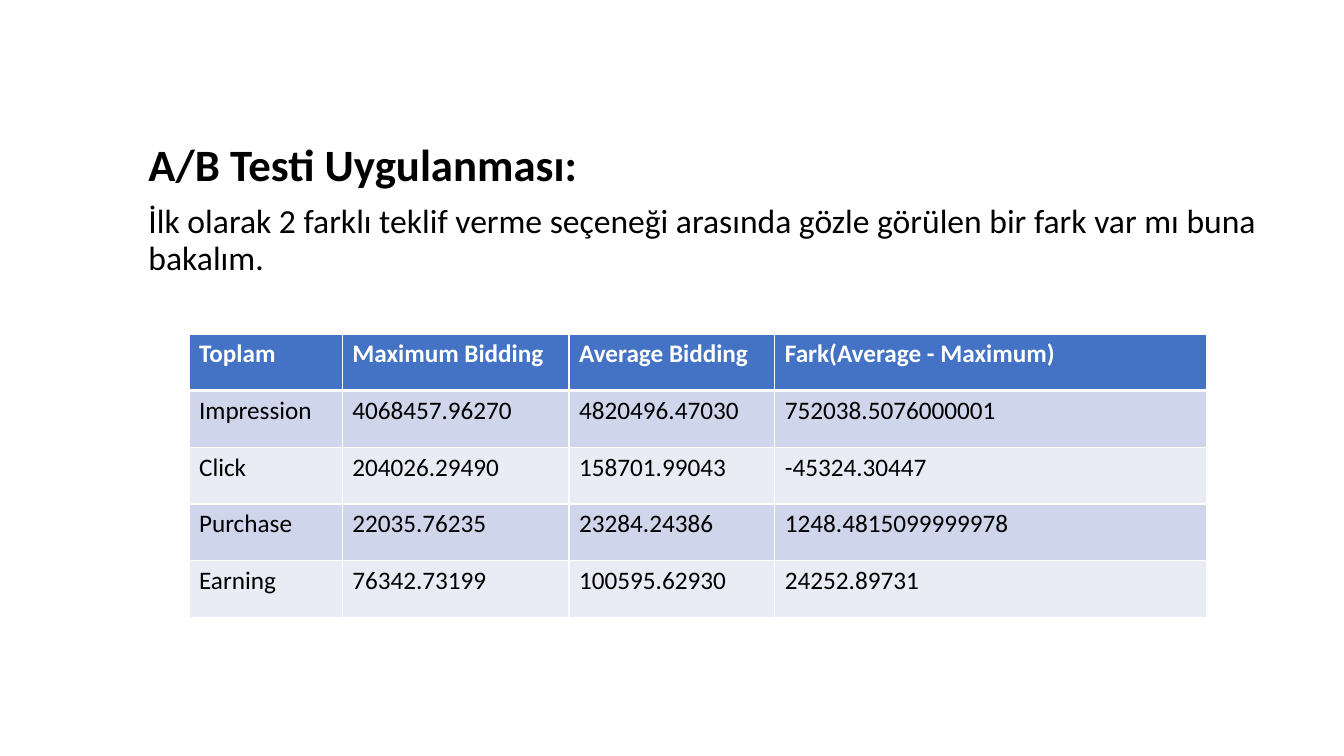
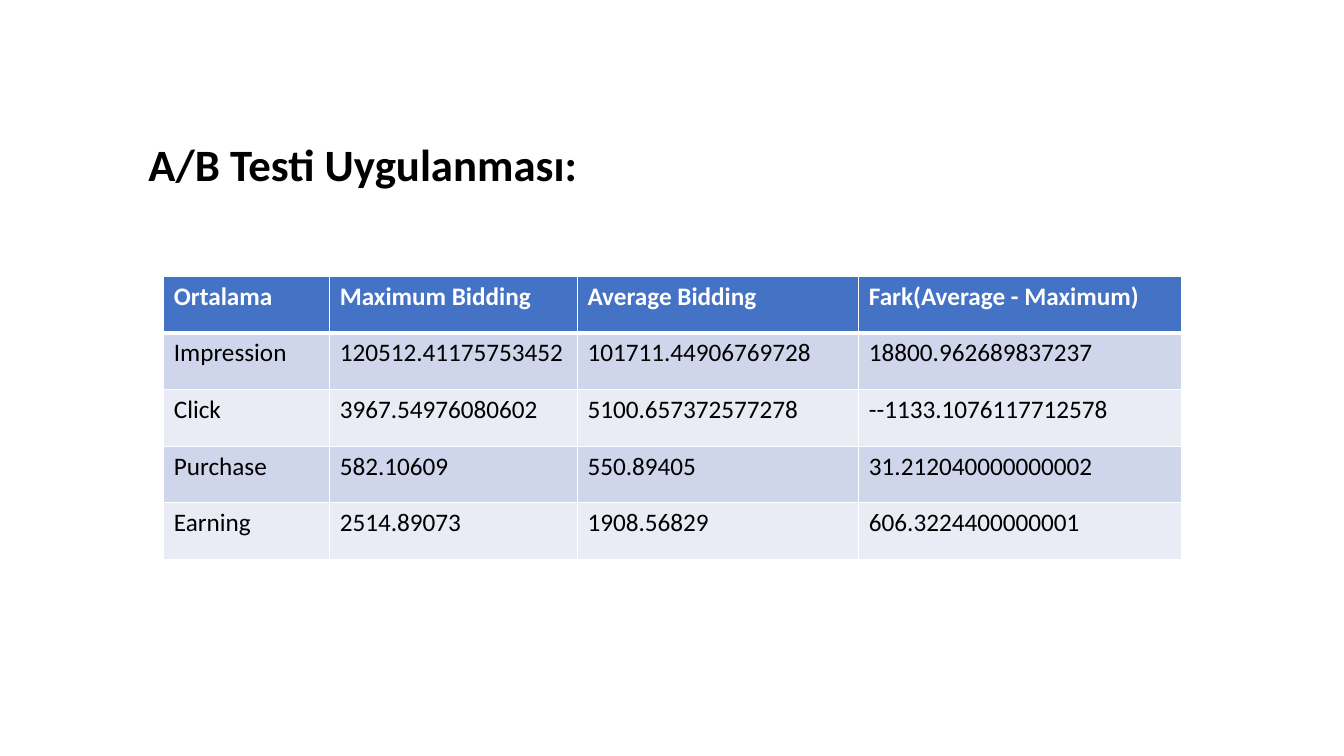
import pptx
import pptx.dml.color
import pptx.oxml.ns
import pptx.util
from lxml import etree

# Content
TITLE = "A/B Testi Uygulanması:"
COLUMN_NAMES = ["Maximum Bidding", "Average Bidding", "Fark(Average - Maximum)"]
SLIDES = [
    {
        "intro": "İlk olarak 2 farklı teklif verme seçeneği arasında gözle görülen "
                 "bir fark var mı buna bakalım.",
        "table_position": (180, 318),
        "column_widths": [146, 216, 196, 411],
        "rows": [
            ["Toplam", *COLUMN_NAMES],
            ["Impression", "4068457.96270", "4820496.47030", "752038.5076000001"],
            ["Click", "204026.29490", "158701.99043", "-45324.30447"],
            ["Purchase", "22035.76235", "23284.24386", "1248.4815099999978"],
            ["Earning", "76342.73199", "100595.62930", "24252.89731"],
        ],
    },
    {
        "intro": None,
        "table_position": (156, 263),
        "column_widths": [158, 236, 268, 307],
        "rows": [
            ["Ortalama", *COLUMN_NAMES],
            ["Impression", "120512.41175753452", "101711.44906769728", "18800.962689837237"],
            ["Click", "3967.54976080602", "5100.657372577278", "--1133.1076117712578"],
            ["Purchase", "582.10609", "550.89405", "31.212040000000002"],
            ["Earning", "2514.89073", "1908.56829", "606.3224400000001"],
        ],
    },
]

# Shared style
EMU_PER_PX = 9525
SLIDE_SIZE = (1280, 720)
BODY_BOX = (132, 131, 1104, 457)
ROW_HEIGHT = 54
FONT = "Calibri"
BLACK = pptx.dml.color.RGBColor(0x00, 0x00, 0x00)
WHITE = pptx.dml.color.RGBColor(0xFF, 0xFF, 0xFF)
HEADER_BLUE = pptx.dml.color.RGBColor(0x44, 0x72, 0xC4)
BAND_FILLS = [
    pptx.dml.color.RGBColor(0xE9, 0xEB, 0xF5),
    pptx.dml.color.RGBColor(0xCF, 0xD5, 0xEA),
]


def px(length):
    return pptx.util.Emu(length * EMU_PER_PX)


def write_text(paragraph, text, *, size, color=BLACK, bold=False,
               line_spacing=None, space_before=None):
    run = paragraph.add_run()
    run.text = text
    run.font.name = FONT
    run.font.size = pptx.util.Pt(size)
    run.font.color.rgb = color
    run.font.bold = bold
    if line_spacing is not None:
        paragraph.line_spacing = line_spacing
    if space_before is not None:
        paragraph.space_before = pptx.util.Pt(space_before)


def set_borders(cell, **widths):
    """Draw white cell borders; widths are points by side (L, R, T, B)."""
    properties = cell._tc.get_or_add_tcPr()
    for side, width in widths.items():
        line = etree.SubElement(properties, pptx.oxml.ns.qn(f"a:ln{side}"),
                                w=str(pptx.util.Pt(width)))
        fill = etree.SubElement(line, pptx.oxml.ns.qn("a:solidFill"))
        etree.SubElement(fill, pptx.oxml.ns.qn("a:srgbClr"), val=str(WHITE))


def add_body(slide, intro):
    frame = slide.shapes.add_textbox(*map(px, BODY_BOX)).text_frame
    frame.word_wrap = True
    spacing = {"line_spacing": 0.9, "space_before": 10}
    write_text(frame.paragraphs[0], TITLE, size=32, bold=True, **spacing)
    if intro:
        write_text(frame.add_paragraph(), intro, size=24, **spacing)


def add_result_table(slide, position, column_widths, rows):
    left, top = position
    table = slide.shapes.add_table(
        len(rows), len(column_widths), px(left), px(top),
        px(sum(column_widths)), px(ROW_HEIGHT * len(rows))).table
    for column, width in zip(table.columns, column_widths):
        column.width = px(width)
    for row_index, values in enumerate(rows):
        is_header = row_index == 0
        for column_index, value in enumerate(values):
            cell = table.cell(row_index, column_index)
            set_borders(cell, L=1, R=1, T=3 if row_index == 1 else 1,
                        B=3 if is_header else 1)
            cell.fill.solid()
            cell.fill.fore_color.rgb = HEADER_BLUE if is_header else BAND_FILLS[row_index % 2]
            write_text(cell.text_frame.paragraphs[0], value, size=18,
                       color=WHITE if is_header else BLACK, bold=is_header)


def main():
    presentation = pptx.Presentation()
    presentation.slide_width, presentation.slide_height = map(px, SLIDE_SIZE)
    blank_layout = presentation.slide_layouts[6]
    for content in SLIDES:
        slide = presentation.slides.add_slide(blank_layout)
        add_body(slide, content["intro"])
        add_result_table(slide, content["table_position"],
                         content["column_widths"], content["rows"])
    presentation.save("out.pptx")


if __name__ == "__main__":
    main()
